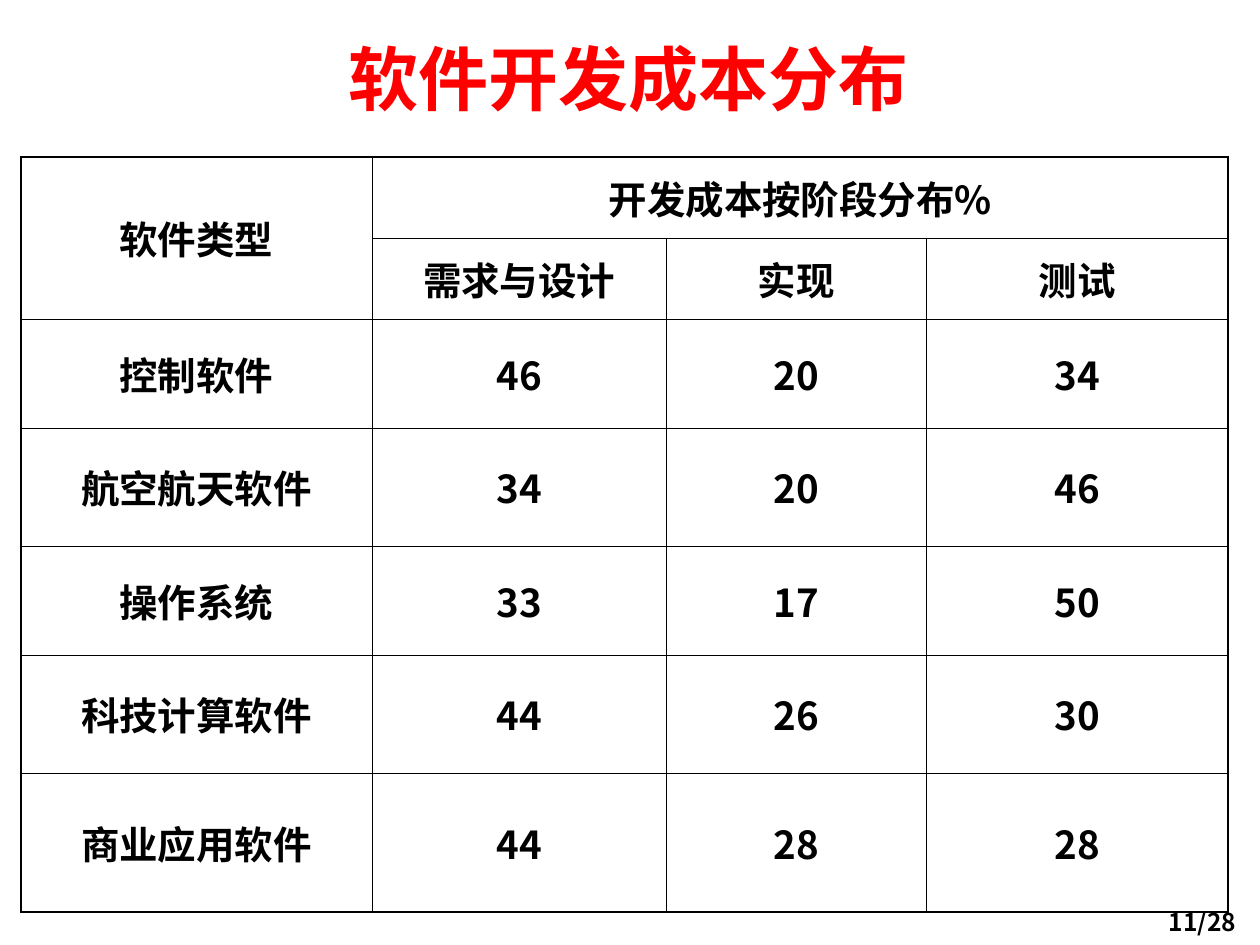
from lxml.etree import SubElement
from pptx import Presentation
from pptx.dml.color import RGBColor
from pptx.enum.text import MSO_ANCHOR as Anchor, PP_ALIGN as Align
from pptx.oxml import parse_xml
from pptx.oxml.ns import nsdecls, qn
from pptx.util import Cm, Pt

FONT = "Noto Sans CJK SC"
BLACK = RGBColor(0, 0, 0)
RED = RGBColor(255, 0, 0)
THIN, THICK = Pt(0.45), Pt(1.08)
COLUMN_WIDTHS = [7.08, 5.93, 5.24, 6.09]
ROW_HEIGHTS = [1.63, 1.63, 2.2, 2.38, 2.2, 2.38, 2.8]
COSTS = [
    ["软件类型", "开发成本按阶段分布%", "", ""],
    ["", "需求与设计", "实现", "测试"],
    ["控制软件", "46", "20", "34"],
    ["航空航天软件", "34", "20", "46"],
    ["操作系统", "33", "17", "50"],
    ["科技计算软件", "44", "26", "30"],
    ["商业应用软件", "44", "28", "28"],
]


def write_text(text_frame, text, size, color, align):
    """Write one bold paragraph in the slide's font."""
    text_frame.text = text
    paragraph = text_frame.paragraphs[0]
    paragraph.alignment = align
    for run in paragraph.runs:
        run.font.size, run.font.bold, run.font.name = Pt(size), True, FONT
        run.font.color.rgb = color
        SubElement(run.font._element, qn("a:ea"), typeface=FONT)
    return paragraph


def place(shape, left, top, width, height):
    """Move and size a shape to a box in centimetres."""
    shape.left, shape.top = Cm(left), Cm(top)
    shape.width, shape.height = Cm(width), Cm(height)


def set_borders(cell, widths):
    """Draw the left, right, top and bottom borders of a cell."""
    properties = cell._tc.get_or_add_tcPr()
    for index, (side, width) in enumerate(zip("LRTB", widths)):
        properties.insert(index, parse_xml(
            f'<a:ln{side} {nsdecls("a")} w="{width}"><a:solidFill>'
            f'<a:srgbClr val="{BLACK}"/></a:solidFill></a:ln{side}>'))


def add_title(slide, text, box):
    """Format the title placeholder."""
    title = slide.shapes.title
    place(title, *box)
    title.text_frame.word_wrap = True
    title.text_frame.vertical_anchor = Anchor.BOTTOM
    write_text(title.text_frame, text, 40, RED, Align.CENTER)


def add_cost_table(slide, box):
    """Add the cost table with its merged headings and ruled cells."""
    row_count, column_count = len(ROW_HEIGHTS), len(COLUMN_WIDTHS)
    frame = slide.shapes.add_table(row_count, column_count, *map(Cm, box))
    table = frame.table
    table.first_row = table.horz_banding = False
    for column, width in zip(table.columns, COLUMN_WIDTHS):
        column.width = Cm(width)
    for row, height in zip(table.rows, ROW_HEIGHTS):
        row.height = Cm(height)
    table.cell(0, 0).merge(table.cell(1, 0))
    table.cell(0, 1).merge(table.cell(0, 3))

    for row, texts in enumerate(COSTS):
        for column, text in enumerate(texts):
            cell = table.cell(row, column)
            cell.fill.background()
            if cell.is_spanned:
                continue
            cell.vertical_anchor = Anchor.MIDDLE
            paragraph = write_text(cell.text_frame, text, 22, BLACK, Align.CENTER)
            paragraph.space_before = Pt(5.5)
            right = column + (cell.span_width if cell.is_merge_origin else 1)
            bottom = row + (cell.span_height if cell.is_merge_origin else 1)
            outer = (column == 0, right == column_count, row == 0, bottom == row_count)
            set_borders(cell, [THICK if edge else THIN for edge in outer])


def add_page_number(slide, text, box):
    """Add the page number at the lower right."""
    text_box = slide.shapes.add_textbox(*map(Cm, box))
    text_box.text_frame.word_wrap = True
    write_text(text_box.text_frame, text, 14, BLACK, Align.RIGHT)


def main():
    """Build and save the slide."""
    presentation = Presentation()
    presentation.slide_width, presentation.slide_height = Cm(25.4), Cm(19.05)
    slide = presentation.slides.add_slide(presentation.slide_layouts[5])
    add_page_number(slide, "11/28", (19.25, 18.16, 5.92, 0.69))
    add_title(slide, "软件开发成本分布", (1.55, 0.64, 22.23, 1.9))
    add_cost_table(slide, (0.42, 3.17, sum(COLUMN_WIDTHS), sum(ROW_HEIGHTS)))
    presentation.save("out.pptx")


if __name__ == "__main__":
    main()
